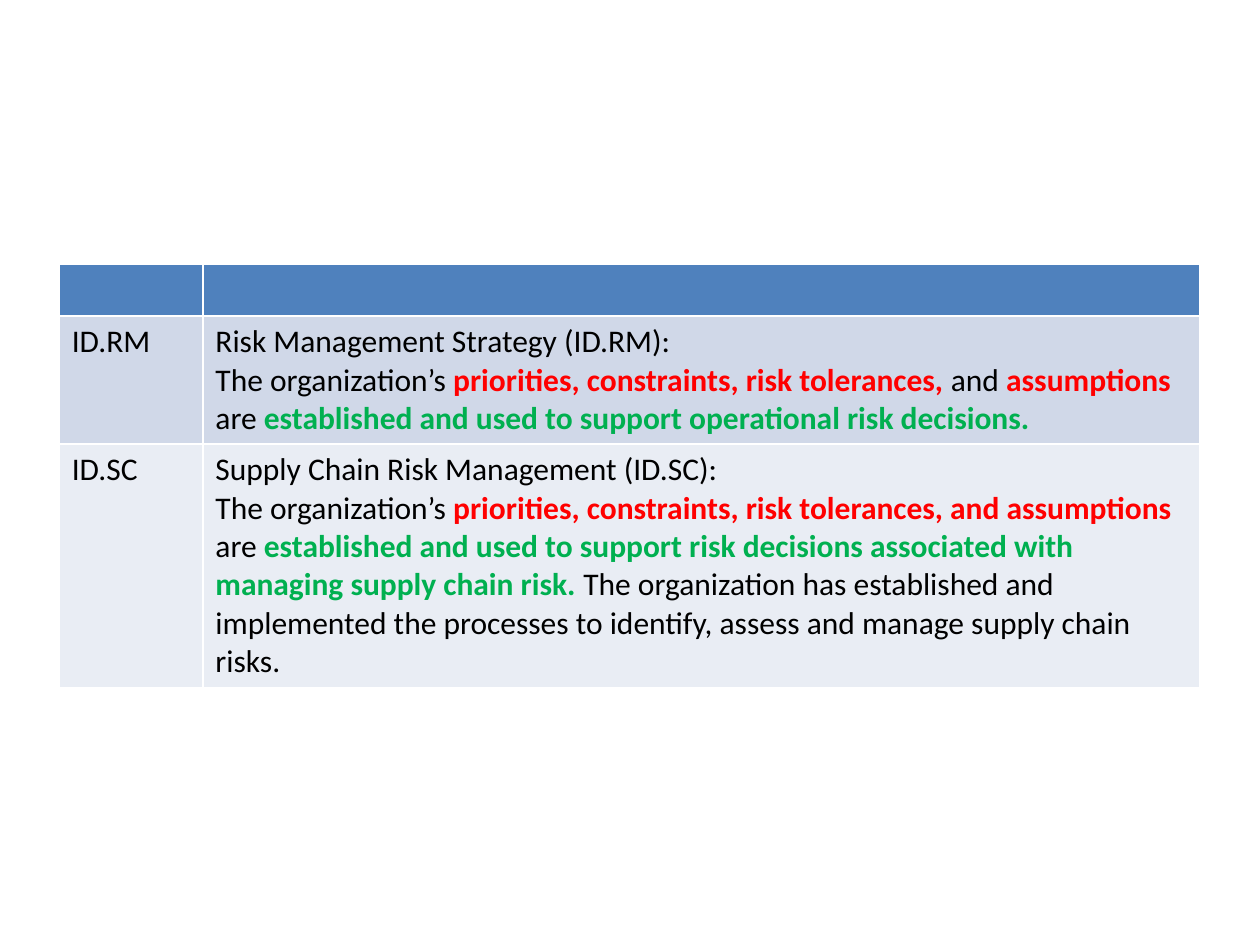
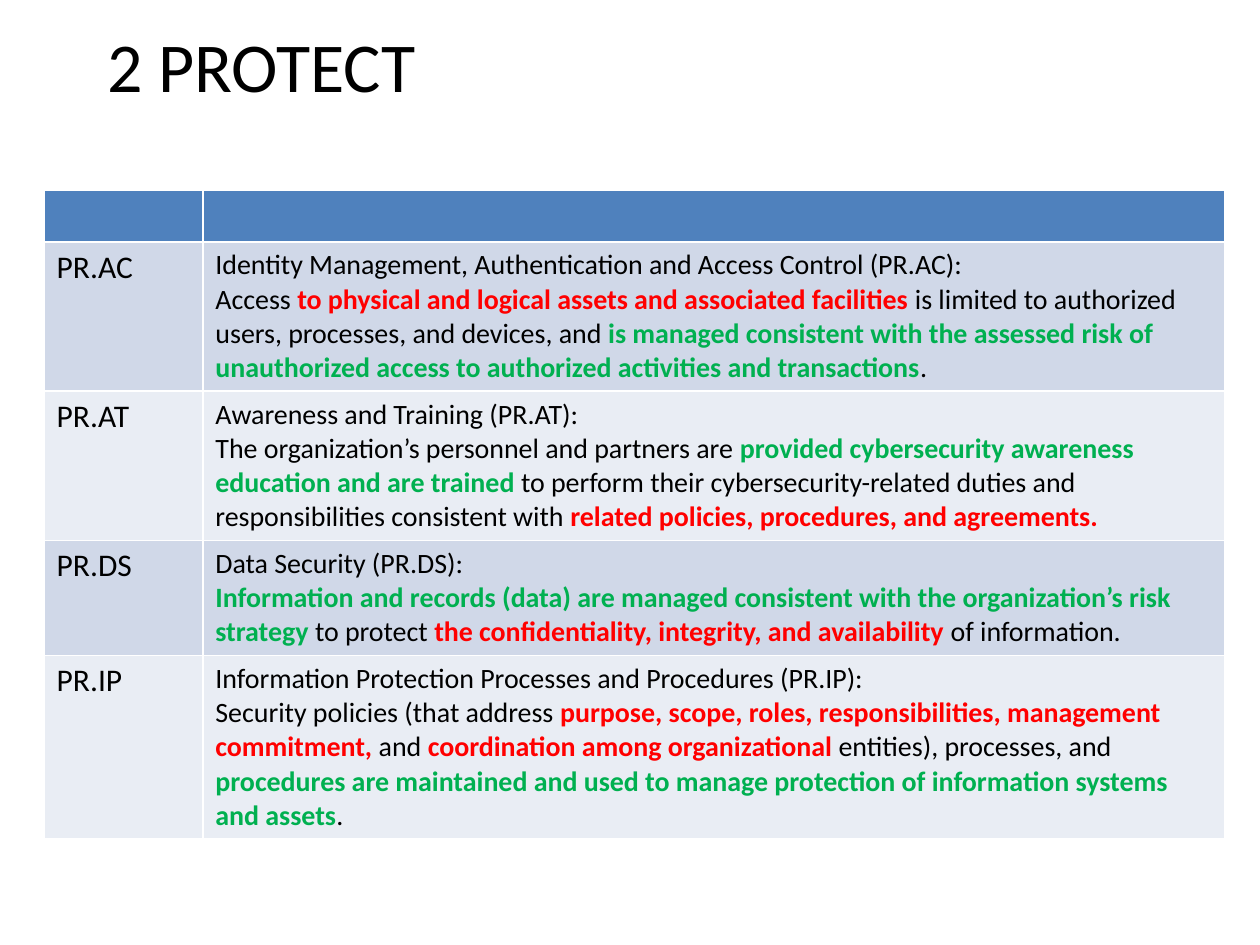
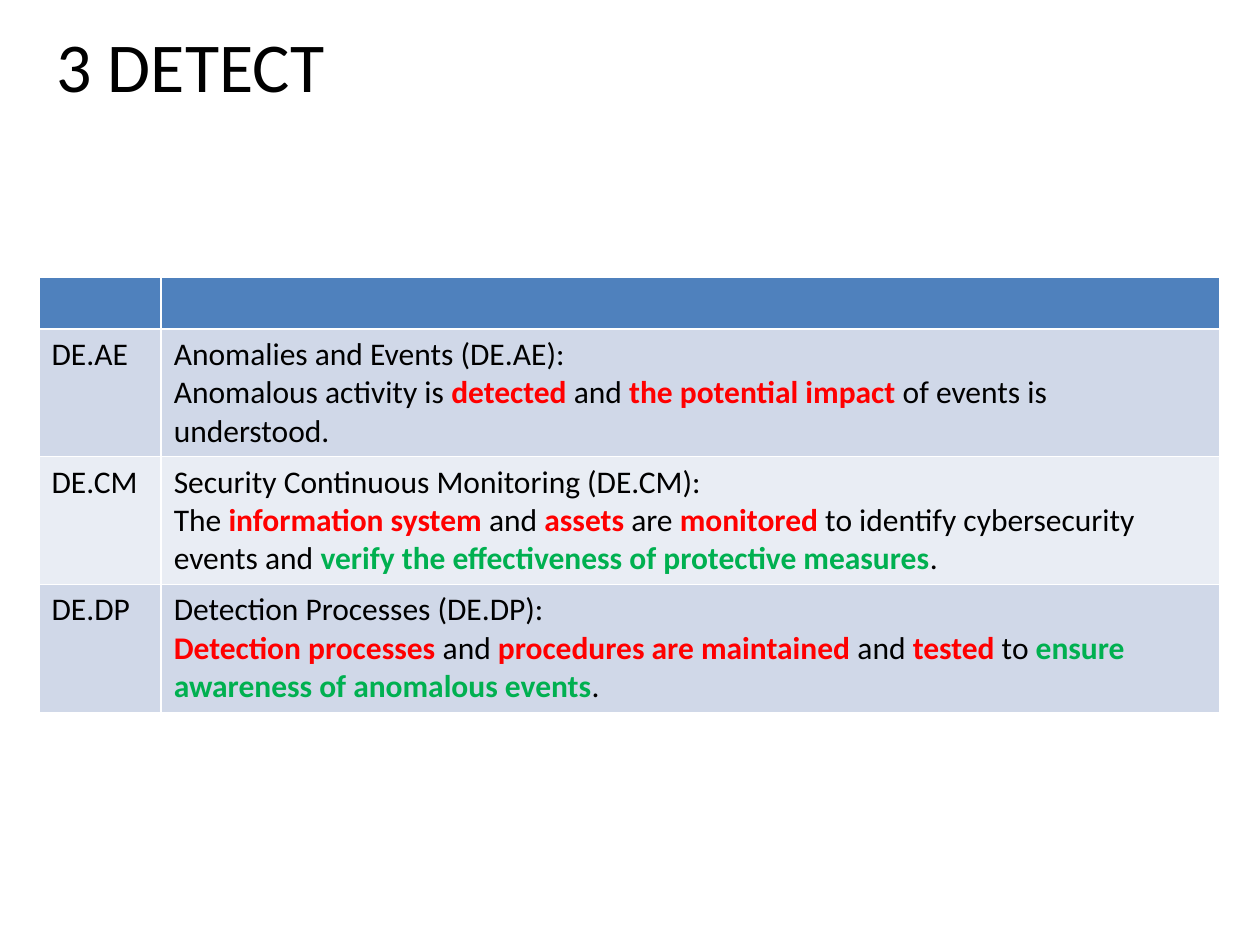
from pptx import Presentation
from pptx.dml.color import RGBColor
from pptx.enum.text import MSO_ANCHOR, MSO_AUTO_SIZE, PP_ALIGN
from pptx.util import Inches, Pt

TOP, MIDDLE = MSO_ANCHOR.TOP, MSO_ANCHOR.MIDDLE
LEFT = PP_ALIGN.LEFT
FIT_SHAPE = MSO_AUTO_SIZE.SHAPE_TO_FIT_TEXT
TITLE_ONLY, BLANK = 5, 6

COLORS = {
    "text": "000000",
    "red": "FF0000",
    "green": "00B050",
    "header": "4F81BD",
    "bands": ("D0D8E8", "E9EDF4"),
}
FONT = "Calibri"
TITLE_SIZE, LABEL_SIZE = 40, 18
TITLE_TOP, TITLE_WIDTH, TITLE_HEIGHT = 0.13, 2.83, 0.77
HEADER_HEIGHT, CELL_PADDING, LINE_SPACING = 0.41, 0.1, 1.22

PAGES = [
    {
        "title": None,
        "corner": (0.47, 2.1),
        "columns": (1.14, 7.91),
        "size": 18,
        "anchor": MIDDLE,
        "rows": [
            ("ID.RM", 3, "Risk Management Strategy (ID.RM):", [
                ("The organization’s ", "text"),
                ("priorities, constraints, risk tolerances, ", "red"),
                ("and ", "text"),
                ("assumptions", "red"),
                (" are ", "text"),
                ("established and used to support operational risk decisions.", "green"),
            ]),
            ("ID.SC", 6, "Supply Chain Risk Management (ID.SC):", [
                ("The organization’s ", "text"),
                ("priorities, constraints, risk tolerances, and assumptions ", "red"),
                ("are ", "text"),
                ("established and used to support risk decisions associated with "
                 "managing supply chain risk. ", "green"),
                ("The organization has established and implemented the processes "
                 "to identify, assess and manage supply chain risks.", "text"),
            ]),
        ],
    },
    {
        "title": ("2 PROTECT", 0.75),
        "corner": (0.35, 1.51),
        "columns": (1.26, 8.11),
        "size": 16,
        "anchor": TOP,
        "rows": [
            ("PR.AC", 4, "Identity Management, Authentication and Access Control (PR.AC):", [
                ("Access ", "text"),
                ("to physical and logical assets and associated facilities", "red"),
                (" is limited to authorized users, processes, and devices, and ", "text"),
                ("is managed consistent with the assessed risk of unauthorized "
                 "access to authorized activities and transactions", "green"),
                (".", "text"),
            ]),
            ("PR.AT", 4, "Awareness and Training (PR.AT):", [
                ("The organization’s personnel and partners are ", "text"),
                ("provided cybersecurity awareness education and are trained", "green"),
                (" to perform their cybersecurity-related duties and "
                 "responsibilities consistent with ", "text"),
                ("related policies, procedures, and agreements.", "red"),
            ]),
            ("PR.DS", 3, "Data Security (PR.DS):", [
                ("Information and records (data) are managed consistent with "
                 "the organization’s risk strategy ", "green"),
                ("to protect ", "text"),
                ("the confidentiality, integrity, and availability ", "red"),
                ("of information.", "text"),
            ]),
            ("PR.IP", 5, "Information Protection Processes and Procedures (PR.IP):", [
                ("Security policies (that address ", "text"),
                ("purpose, scope, roles, responsibilities, management commitment,", "red"),
                (" and ", "text"),
                ("coordination among organizational", "red"),
                (" entities), processes, and ", "text"),
                ("procedures are maintained and used to manage protection of "
                 "information systems and assets", "green"),
                (".", "text"),
            ]),
        ],
    },
    {
        "title": ("3 DETECT", 0.35),
        "corner": (0.31, 2.2),
        "columns": (0.97, 8.4),
        "size": 18,
        "anchor": TOP,
        "rows": [
            ("DE.AE", 3, "Anomalies and Events (DE.AE):", [
                ("Anomalous activity is ", "text"),
                ("detected", "red"),
                (" and ", "text"),
                ("the potential impact ", "red"),
                ("of events is understood.", "text"),
            ]),
            ("DE.CM", 3, "Security Continuous Monitoring (DE.CM):", [
                ("The ", "text"),
                ("information system", "red"),
                (" and ", "text"),
                ("assets", "red"),
                (" are ", "text"),
                ("monitored", "red"),
                (" to identify cybersecurity events and ", "text"),
                ("verify the effectiveness of protective measures", "green"),
                (".", "text"),
            ]),
            ("DE.DP", 3, "Detection Processes (DE.DP):", [
                ("Detection processes ", "red"),
                ("and ", "text"),
                ("procedures are maintained ", "red"),
                ("and ", "text"),
                ("tested", "red"),
                (" to ", "text"),
                ("ensure awareness of anomalous events", "green"),
                (".", "text"),
            ]),
        ],
    },
]


def set_font(font, size):
    font.name = FONT
    font.size = Pt(size)
    font.color.rgb = RGBColor.from_string(COLORS["text"])


def fill_cell(cell, color):
    cell.fill.solid()
    cell.fill.fore_color.rgb = RGBColor.from_string(color)


def write_paragraph(para, spans, size):
    set_font(para.font, size)
    for words, color in spans:
        span = para.add_run()
        span.text = words
        if color != "text":
            span.font.bold = True
            span.font.color.rgb = RGBColor.from_string(COLORS[color])


def add_title(page, words, left):
    title = page.shapes.title
    title.left, title.top = Inches(left), Inches(TITLE_TOP)
    title.width, title.height = Inches(TITLE_WIDTH), Inches(TITLE_HEIGHT)
    frame = title.text_frame
    frame.auto_size = FIT_SHAPE
    frame.vertical_anchor = TOP
    frame.text = words
    para = frame.paragraphs[0]
    para.alignment = LEFT
    set_font(para.font, TITLE_SIZE)


def add_category_table(page, content):
    size, columns, rows = content["size"], content["columns"], content["rows"]
    line_height = size * LINE_SPACING / 72
    heights = [HEADER_HEIGHT] + [lines * line_height + CELL_PADDING for _, lines, _, _ in rows]
    left, top = content["corner"]
    table = page.shapes.add_table(
        len(heights), len(columns), Inches(left), Inches(top),
        Inches(sum(columns)), Inches(sum(heights))).table
    for column, width in zip(table.columns, columns):
        column.width = Inches(width)
    for row, height in zip(table.rows, heights):
        row.height = Inches(height)
    for cell in table.rows[0].cells:
        fill_cell(cell, COLORS["header"])
    for index, (label, _, heading, spans) in enumerate(rows):
        label_cell, detail_cell = table.rows[index + 1].cells
        for cell in (label_cell, detail_cell):
            fill_cell(cell, COLORS["bands"][index % 2])
        write_paragraph(label_cell.text_frame.paragraphs[0], [(label, "text")], LABEL_SIZE)
        detail_cell.vertical_anchor = content["anchor"]
        frame = detail_cell.text_frame
        write_paragraph(frame.paragraphs[0], [(heading, "text")], size)
        write_paragraph(frame.add_paragraph(), spans, size)


def main():
    deck = Presentation()
    deck.slide_width, deck.slide_height = Inches(10), Inches(7.5)
    for content in PAGES:
        layout = TITLE_ONLY if content["title"] else BLANK
        page = deck.slides.add_slide(deck.slide_layouts[layout])
        if content["title"]:
            add_title(page, *content["title"])
        add_category_table(page, content)
    deck.save("out.pptx")


if __name__ == "__main__":
    main()
